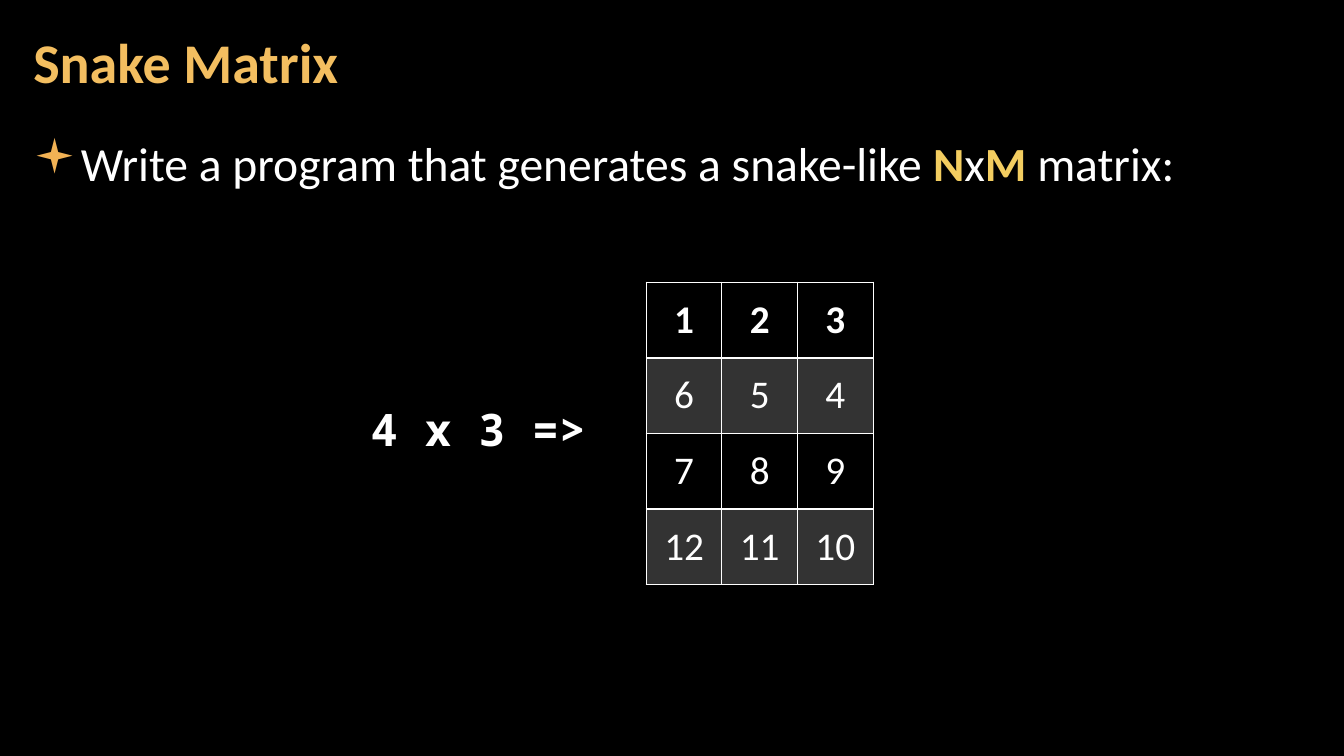
from dataclasses import dataclass

from lxml.etree import SubElement
from pptx import Presentation
from pptx.dml.color import RGBColor
from pptx.enum.text import MSO_ANCHOR, MSO_AUTO_SIZE, PP_ALIGN
from pptx.oxml.ns import qn
from pptx.util import Inches, Pt


@dataclass(frozen=True)
class Theme:
    background: str = "000000"
    text: str = "FFFFFF"
    title: str = "F3BE60"
    accent: str = "F3CD60"
    bullet: str = "F2B254"
    font: str = "Calibri"
    mono: str = "Noto Sans Mono"
    title_size: int = 40
    body_size: int = 34
    label_size: int = 32
    cell_size: int = 28


theme = Theme()
ROWS, COLUMNS, CELL = 4, 3, Inches(0.75)


def set_font(font, name, size, color, bold=False):
    font.name, font.size, font.bold = name, Pt(size), bold
    font.color.rgb = RGBColor.from_string(color)


def place(shape, left, top, width, height):
    shape.left, shape.top = Inches(left), Inches(top)
    shape.width, shape.height = Inches(width), Inches(height)
    frame = shape.text_frame
    frame.word_wrap, frame.auto_size = True, MSO_AUTO_SIZE.NONE
    frame.margin_left = frame.margin_right = Inches(0.12)
    frame.margin_top = frame.margin_bottom = Inches(0.04)
    return frame


presentation = Presentation()
presentation.slide_width, presentation.slide_height = Inches(13.33), Inches(7.5)
slide = presentation.slides.add_slide(presentation.slide_layouts[1])
slide.background.fill.solid()
slide.background.fill.fore_color.rgb = RGBColor.from_string(theme.background)

# Title
title = place(slide.shapes.title, 0.21, 0.04, 10.47, 1.21)
title.vertical_anchor = MSO_ANCHOR.MIDDLE
heading = title.paragraphs[0]
heading.text = "Snake Matrix"
heading.alignment, heading.line_spacing = PP_ALIGN.LEFT, 0.9
set_font(heading.font, theme.font, theme.title_size, theme.title, True)

# Task with a square bullet
body = place(slide.placeholders[1], 0.21, 1.26, 12.91, 6.09)
body.vertical_anchor = MSO_ANCHOR.TOP
task = body.paragraphs[0]
properties = task._p.get_or_add_pPr()
properties.set("marL", str(Inches(0.33)))
properties.set("indent", str(-Inches(0.33)))
SubElement(SubElement(properties, qn("a:buClr")), qn("a:srgbClr"), val=theme.bullet)
SubElement(properties, qn("a:buFont"), typeface="Wingdings")
SubElement(properties, qn("a:buChar"), char="▪")
task.line_spacing, task.space_before, task.space_after = 1.05, Pt(0), Pt(6)
set_font(task.font, theme.font, theme.body_size, theme.text)
for words, emphasized in (
    ("Write a program that generates a snake-like ", False),
    ("N", True), ("x", False), ("M", True), (" matrix:", False),
):
    run = task.add_run()
    run.text = words
    if emphasized:
        run.font.bold = True
        run.font.color.rgb = RGBColor.from_string(theme.accent)

# Snake matrix: every second row runs backwards and is shaded
matrix = slide.shapes.add_table(
    ROWS, COLUMNS, Inches(6.41), Inches(2.8), COLUMNS * CELL, ROWS * CELL
).table
for row in range(ROWS):
    numbers = list(range(row * COLUMNS + 1, (row + 1) * COLUMNS + 1))
    backwards = row % 2 == 1
    if backwards:
        numbers.reverse()
    for column, number in enumerate(numbers):
        cell = matrix.cell(row, column)
        cell.vertical_anchor = MSO_ANCHOR.MIDDLE
        entry = cell.text_frame.paragraphs[0]
        entry.text = str(number)
        entry.alignment = PP_ALIGN.CENTER
        set_font(entry.font, theme.font, theme.cell_size, theme.text, row == 0)

        # Borders come before the fill, with a thicker rule around the header's foot
        cell_properties = cell._tc.get_or_add_tcPr()
        for side in ("lnL", "lnR", "lnT", "lnB"):
            thick = (row, side) in ((0, "lnB"), (1, "lnT"))
            border = SubElement(cell_properties, qn(f"a:{side}"), w=str(Pt(2 if thick else 1)))
            SubElement(SubElement(border, qn("a:solidFill")), qn("a:srgbClr"), val=theme.text)
        if backwards:
            shade = SubElement(SubElement(cell_properties, qn("a:solidFill")), qn("a:srgbClr"), val=theme.text)
            SubElement(shade, qn("a:alpha"), val="20000")
        else:
            SubElement(cell_properties, qn("a:noFill"))

# Size label
size_box = slide.shapes.add_textbox(Inches(3.58), Inches(3.94), Inches(2.83), Inches(0.64))
size_box.text_frame.word_wrap = True
size_label = size_box.text_frame.paragraphs[0]
size_label.text = "4 x 3 =>"
set_font(size_label.font, theme.mono, theme.label_size, theme.text, True)

presentation.save("out.pptx")
